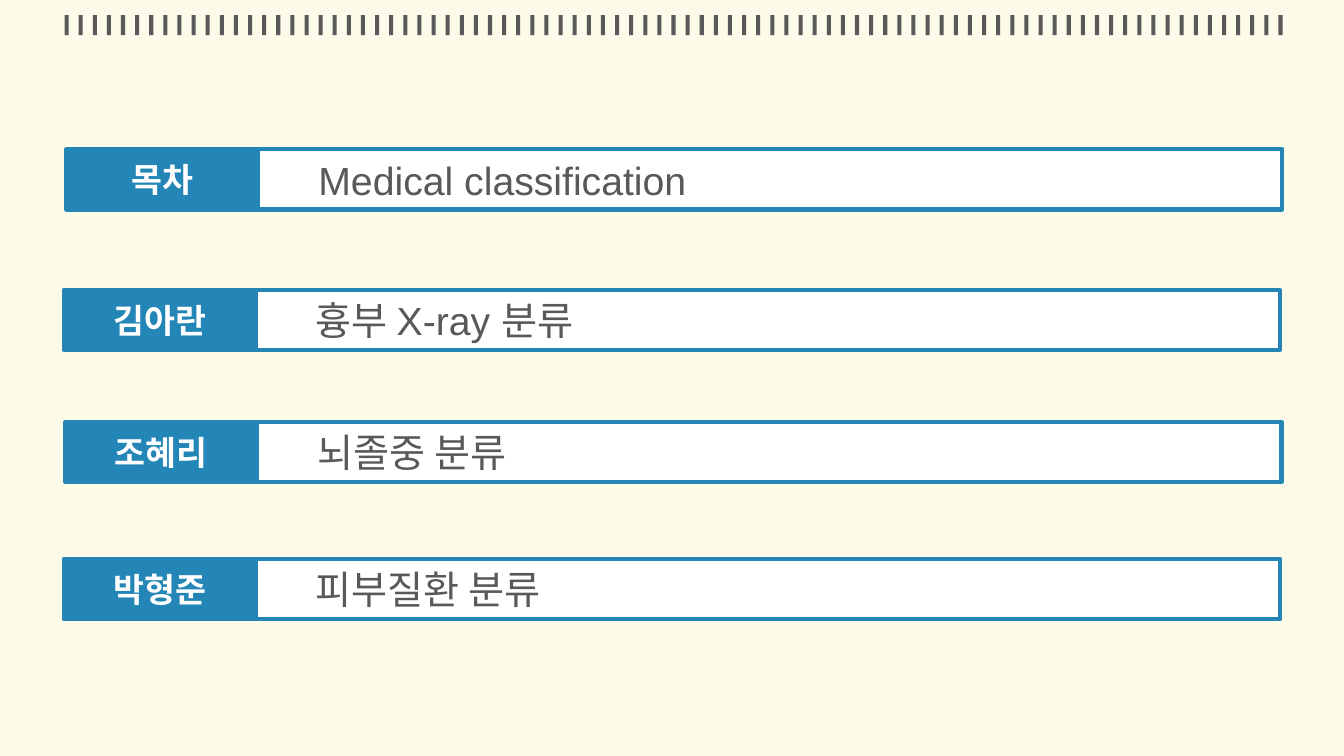
from pptx import Presentation
from pptx.dml.color import RGBColor
from pptx.enum.shapes import MSO_SHAPE
from pptx.enum.text import MSO_ANCHOR, PP_ALIGN
from pptx.oxml.ns import qn
from pptx.util import Inches, Pt

COLUMNS, ROWS = 133.3, 75
LABEL_WIDTH, TOPIC_WIDTH, BAR_HEIGHT = 19, 101.6, 6
TICK_COUNT, TICK_PITCH, TICK_WIDTH, TICK_HEIGHT = 87, 1.4, 0.4, 2

AGENDA = [
    (6.6, 14.8, "목차", "Medical classification"),
    (6.35, 28.75, "김아란", "흉부 X-ray 분류"),
    (6.5, 41.85, "조혜리", "뇌졸중 분류"),
    (6.35, 55.45, "박형준", "피부질환 분류"),
]


def color(code):
    return RGBColor.from_string(code)


class AgendaSlide:
    cream, blue, white, gray = "FCFBE9", "2486B7", "FFFFFF", "595959"
    latin, korean = "Arial", "Noto Sans CJK KR"

    def __init__(self, deck):
        self.column = deck.slide_width / COLUMNS
        self.row = deck.slide_height / ROWS
        self.slide = deck.slides.add_slide(deck.slide_layouts[6])
        background = self.slide.background.fill
        background.solid()
        background.fore_color.rgb = color(self.cream)

    def x(self, columns):
        return round(columns * self.column)

    def y(self, rows):
        return round(rows * self.row)

    def paint(self, shape, fill):
        shape.shadow.inherit = False
        shape.fill.solid()
        shape.fill.fore_color.rgb = color(fill)

    def tick_strip(self, left, top):
        bottom = self.y(top + TICK_HEIGHT)
        top = self.y(top)
        outline = self.slide.shapes.build_freeform(self.x(left), top)
        for index in range(TICK_COUNT):
            start = left + index * TICK_PITCH
            near, far = self.x(start), self.x(start + TICK_WIDTH)
            if index:
                outline.move_to(near, top)
            outline.add_line_segments([(far, top), (far, bottom), (near, bottom)])
        strip = outline.convert_to_shape()
        self.paint(strip, self.gray)
        strip.line.fill.background()

    def bar(self, left, top, width, text, fill):
        bar = self.slide.shapes.add_shape(
            MSO_SHAPE.RECTANGLE, self.x(left), self.y(top), self.x(width), self.y(BAR_HEIGHT))
        self.paint(bar, fill)
        bar.line.color.rgb = color(self.blue)
        bar.line.width = Pt(3)
        bar.text_frame.text = text
        bar.text_frame.word_wrap = True
        bar.text_frame.vertical_anchor = MSO_ANCHOR.MIDDLE
        return bar.text_frame.paragraphs[0]

    def style_text(self, paragraph, size, font, ink, bold=False):
        for run in paragraph.runs:
            run.font.size = Pt(size)
            run.font.name = font
            run.font.bold = bold
            run.font.color.rgb = color(ink)
            east_asian = run.font._element.makeelement(qn("a:ea"), {"typeface": self.korean})
            run.font._element.find(qn("a:latin")).addnext(east_asian)

    def label(self, left, top, text):
        name = self.bar(left, top, LABEL_WIDTH, text, self.blue)
        name.alignment = PP_ALIGN.CENTER
        self.style_text(name, 24, self.korean, self.white, bold=True)

    def topic(self, left, top, text):
        subject = self.bar(left, top, TOPIC_WIDTH, text, self.white)
        subject.alignment = PP_ALIGN.LEFT
        subject.level = 1
        properties = subject._p.get_or_add_pPr()
        properties.set("marL", str(Inches(0.5)))
        properties.set("indent", "0")
        self.style_text(subject, 28, self.latin, self.gray)


def main():
    deck = Presentation()
    deck.slide_width, deck.slide_height = Inches(13.33), Inches(7.5)
    agenda = AgendaSlide(deck)
    agenda.tick_strip(6.4, 1.5)
    for left, top, name, subject in AGENDA:
        agenda.label(left, top, name)
        agenda.topic(left + LABEL_WIDTH, top, subject)
    deck.save("out.pptx")


if __name__ == "__main__":
    main()
